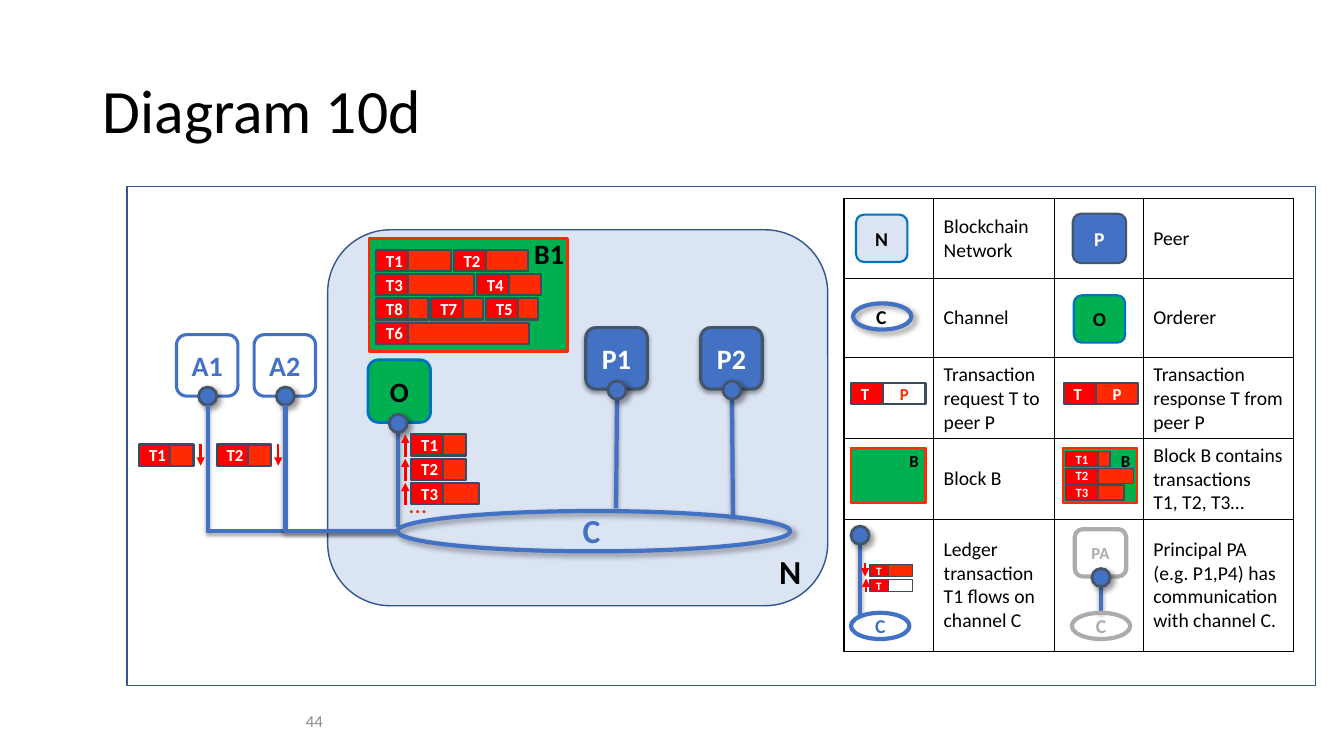
from pptx import Presentation
from pptx.dml.color import RGBColor
from pptx.enum.shapes import MSO_CONNECTOR as CONN, MSO_SHAPE as SHAPE
from pptx.enum.text import MSO_ANCHOR as ANCHOR, PP_ALIGN as ALIGN
from pptx.oxml import parse_xml
from pptx.oxml.ns import nsdecls, qn
from pptx.util import Inches, Pt

BLACK = RGBColor(0x00, 0x00, 0x00)
WHITE = RGBColor(0xFF, 0xFF, 0xFF)
GRAY = RGBColor(0x8C, 0x8C, 0x8C)
SILVER = RGBColor(0xAF, 0xAB, 0xAB)
NAVY = RGBColor(0x32, 0x54, 0x91)
SLATE = RGBColor(0x44, 0x54, 0x6A)
EDGE = RGBColor(0x3D, 0x4B, 0x5F)
BLUE = RGBColor(0x43, 0x72, 0xC4)
SKY = RGBColor(0x00, 0x70, 0xC0)
PALE = RGBColor(0xDB, 0xE4, 0xF3)
GREEN = RGBColor(0x00, 0xB0, 0x50)
RED = RGBColor(0xFF, 0x00, 0x00)
SCARLET = RGBColor(0xFF, 0x2A, 0x00)

# Shadows: opacity %, blur pt, distance pt, direction in degrees
SOFT = (40, 4, 3, 45)
DROP = (38, 3.1, 1.6, 90)
PEER = (35, 3.1, 1.8, 90)


class Diagram:
    font = "Calibri"

    def __init__(self, slide):
        self.shapes = slide.shapes

    def add_text(self, tf, text, size, color, bold=True, align=ALIGN.LEFT):
        p = tf.paragraphs[0]
        p.alignment = align
        for i, part in enumerate(text.split("\n")):
            if i:
                p.add_line_break()
            r = p.add_run()
            r.text = part
            r.font.name, r.font.size, r.font.bold = self.font, Pt(size), bold
            r.font.color.rgb = color
        return p

    def effects(self, sp, shadow):
        spPr = sp._element.spPr
        lst = spPr.find(qn("a:effectLst"))
        if lst is None:
            lst = parse_xml(f"<a:effectLst {nsdecls('a')}/>")
            spPr.append(lst)
        if shadow:
            alpha, blur, dist, angle = shadow
            lst.append(parse_xml(
                f'<a:outerShdw {nsdecls("a")} blurRad="{Pt(blur)}" dist="{Pt(dist)}"'
                f' dir="{angle * 60000}" algn="ctr" rotWithShape="0"><a:srgbClr val="000000">'
                f'<a:alpha val="{alpha * 1000}"/></a:srgbClr></a:outerShdw>'))

    def label(self, x, y, w, h, text, size, color=BLACK, bold=True,
              align=ALIGN.LEFT, anchor=ANCHOR.TOP, wrap=False):
        tf = self.shapes.add_textbox(Inches(x), Inches(y), Inches(w), Inches(h)).text_frame
        tf.word_wrap, tf.vertical_anchor = wrap, anchor
        return self.add_text(tf, text, size, color, bold, align)

    def shape(self, kind, x, y, w, h, fill, line, width, text="", size=14,
              color=BLACK, align=ALIGN.CENTER, shadow=None, left=0.1, pad=0.05):
        sp = self.shapes.add_shape(kind, Inches(x), Inches(y), Inches(w), Inches(h))
        sp.shadow.inherit = False
        if fill is None:
            sp.fill.background()
        else:
            sp.fill.solid()
            sp.fill.fore_color.rgb = fill
        sp.line.color.rgb, sp.line.width = line, Pt(width)
        self.effects(sp, shadow)
        if text:
            tf = sp.text_frame
            tf.word_wrap, tf.vertical_anchor = True, ANCHOR.MIDDLE
            tf.margin_left, tf.margin_right = Inches(left), Inches(0.1)
            tf.margin_top = tf.margin_bottom = Inches(pad)
            self.add_text(tf, text, size, color, True, align)

    def node(self, x, y, size, text, fill, line, color, width=2.25, shadow=None):
        self.shape(SHAPE.ROUNDED_RECTANGLE, x, y, size, size, fill, line, width,
                   text, 20, color, shadow=shadow, pad=0.04)

    def icon(self, x, y, text, fill, line, color=BLACK, width=1.5, size=14, w=0.51, h=0.47):
        self.shape(SHAPE.ROUNDED_RECTANGLE, x, y, w, h, fill, line, width, text, size, color)

    def dot(self, x, y):
        self.shape(SHAPE.OVAL, x, y, 0.18, 0.18, BLUE, SLATE, 2, shadow=SOFT)

    def channel(self, x, y, w=0.58, h=0.26, color=BLUE, text="", shadow=None):
        self.shape(SHAPE.OVAL, x, y, w, h, None, color, 3, text, 14, color, shadow=shadow)

    def block(self, x, y, w, h, width=1.5):
        self.shape(SHAPE.RECTANGLE, x, y, w, h, GREEN, SCARLET, width)

    def transaction(self, x, y, text, body, body_fill=SCARLET, body_text="", body_color=WHITE,
                    head=0.4, step=0.32, h=0.21, size=12, width=1.5, left=0.1):
        self.shape(SHAPE.RECTANGLE, x, y, head, h, RED, EDGE, width, text, size, WHITE,
                   ALIGN.LEFT, left=left)
        self.shape(SHAPE.RECTANGLE, x + step, y, body, h, body_fill, EDGE, width,
                   body_text, size, body_color)

    def line(self, x1, y1, x2, y2, color=BLUE, width=3, shadow=DROP, kind=CONN.STRAIGHT):
        cx = self.shapes.add_connector(kind, Inches(x1), Inches(y1), Inches(x2), Inches(y2))
        cx.line.color.rgb, cx.line.width = color, Pt(width)
        self.effects(cx, shadow)
        return cx

    def elbow(self, x1, y1, x2, y2):
        """Goes down, then right: a one-bend connector turned by 270 degrees."""
        mx, my, dx, dy = (x1 + x2) / 2, (y1 + y2) / 2, (x2 - x1) / 2, (y2 - y1) / 2
        cx = self.line(mx + dy, my - dx, mx - dy, my + dx, kind=CONN.ELBOW)
        spPr = cx._element.spPr
        spPr.find(qn("a:prstGeom")).set("prst", "bentConnector2")
        spPr.find(qn("a:xfrm")).set("rot", str(270 * 60000))

    def arrow(self, x, y1, y2, width=1.75):
        cx = self.line(x, y1, x, y2, RED, width, None)
        ln = cx._element.spPr.find(qn("a:ln"))
        ln.append(parse_xml(f'<a:tailEnd {nsdecls("a")} type="triangle"/>'))

    def table(self, x, y, widths, heights, rows):
        tbl = self.shapes.add_table(len(rows), len(widths), Inches(x), Inches(y),
                                    Inches(sum(widths)), Inches(sum(heights))).table
        tbl.first_row = tbl.horz_banding = False
        for col, w in zip(tbl.columns, widths):
            col.width = Inches(w)
        for row, h, texts in zip(tbl.rows, heights, rows):
            row.height = Inches(h)
            for cell, text in zip(row.cells, texts):
                cell.fill.background()
                cell.vertical_anchor = ANCHOR.MIDDLE
                if text == "C":
                    cell.margin_left = Inches(0.32)
                if text:
                    self.add_text(cell.text_frame, text, 14, BLACK, text == "C")
                tcPr = cell._tc.get_or_add_tcPr()
                for i, side in enumerate("LRTB"):
                    tcPr.insert(i, parse_xml(
                        f'<a:ln{side} {nsdecls("a")} w="{Pt(1)}"><a:solidFill>'
                        f'<a:srgbClr val="{BLACK}"/></a:solidFill></a:ln{side}>'))


def main():
    prs = Presentation()
    prs.slide_width, prs.slide_height = Inches(13.33), Inches(7.5)
    d = Diagram(prs.slides.add_slide(prs.slide_layouts[6]))

    # Network, title, page number
    d.shape(SHAPE.ROUNDED_RECTANGLE, 3.25, 2.28, 4.96, 3.73, PALE, NAVY, 1)
    p = d.label(0.92, 0.4, 11.5, 1.45, "Diagram 10d", 44, bold=False, anchor=ANCHOR.MIDDLE, wrap=True)
    p.line_spacing = 0.9
    d.label(0.3, 6.95, 3, 0.4, "44", 12, GRAY, False, ALIGN.RIGHT, ANCHOR.MIDDLE, True)

    # Legend table
    d.table(8.37, 1.97, [0.89, 1.2, 0.88, 1.49], [0.79] * 4 + [1.31], [
        ("", "Blockchain Network", "", "Peer"),
        ("C", "Channel", "", "Orderer"),
        ("", "Transaction request T to peer P", "", "Transaction response T from peer P"),
        ("", "Block B", "", "Block B contains transactions\nT1, T2, T3…"),
        ("", "Ledger transaction T1 flows on channel C", "",
         "Principal PA (e.g. P1,P4) has communication with channel C."),
    ])

    # Legend: network, peer, channel, orderer
    d.icon(8.49, 2.13, "N", PALE, SKY)
    d.icon(10.64, 2.12, "P", BLUE, SLATE, WHITE, w=0.53, h=0.49)
    d.channel(8.46, 3.01, shadow=SOFT)
    d.icon(10.65, 2.93, "O", GREEN, SKY)

    # Legend: request, response, blocks
    d.transaction(8.44, 3.8, "T", 0.42, WHITE, "P", SCARLET)
    d.transaction(10.55, 3.8, "T", 0.42, SCARLET, "P")
    for x in (8.44, 10.54):
        d.block(x, 4.44, 0.74, 0.55)
        d.label(x + 0.48, 4.42, 0.3, 0.22, "B", 12)
    for i, body in enumerate((0.12, 0.35, 0.26)):
        d.transaction(10.57, 4.48 + i * 0.165, f"T{i + 1}", body, h=0.15, size=9, width=1)

    # Legend: ledger flow
    d.line(8.53, 5.39, 8.53, 6.11)
    d.dot(8.44, 5.22)
    d.channel(8.44, 6.08, text="C")
    for y, fill in ((5.6, SCARLET), (5.75, WHITE)):
        d.transaction(8.63, y, "T", 0.24, fill, head=0.18, step=0.18, h=0.12,
                      size=8, width=1, left=0.06)
    d.arrow(8.59, 5.87, 5.74, 1.25)
    d.arrow(8.58, 5.59, 5.72, 1.25)

    # Legend: principal on a channel
    d.icon(10.66, 5.25, "PA", None, SILVER, SILVER, 3, 12)
    d.line(10.92, 5.81, 10.92, 6.08)
    d.dot(10.83, 5.64)
    d.channel(10.63, 6.08, color=SILVER, text="C")

    # Frame
    d.shape(SHAPE.RECTANGLE, 1.26, 1.85, 11.79, 4.95, None, NAVY, 1)

    # Applications and their requests
    for i in range(2):
        x = 1.75 + i * 0.77
        d.node(x, 3.32, 0.61, f"A{i + 1}", None, BLUE, BLUE)
        d.dot(x + 0.22, 3.84)
        d.elbow(x + 0.31, 4.02, 3.94, 5.27)
        d.arrow(x + 0.24, 4.4, 4.62)
        d.transaction(x - 0.37, 4.41, f"T{i + 1}", 0.23, step=0.31)

    # Orderer and its incoming transactions
    d.line(3.95, 4.25, 3.95, 5.23)
    d.node(3.65, 3.57, 0.62, "O", GREEN, SKY, BLACK, 2)
    d.dot(3.86, 4.11)
    for i, body in enumerate((0.23, 0.23, 0.36)):
        y = 4.31 + i * 0.24
        d.arrow(4.02, y + 0.22, y)
        d.transaction(4.08, y, f"T{i + 1}", body, step=0.31)
    d.label(3.96, 4.8, 0.38, 0.4, "…", 18, SCARLET, False)

    # Peers and channel
    for i, (x_end, y_end) in enumerate(((6.11, 5.04), (7.27, 5.13))):
        x = 5.81 + i * 1.14
        d.line(x + 0.31, 3.96, x_end, y_end)
        d.node(x, 3.25, 0.61, f"P{i + 1}", BLUE, SLATE, WHITE, shadow=PEER)
        d.dot(x + 0.22, 3.78)
    d.channel(3.94, 5.07, 3.9, 0.4, shadow=SOFT)
    d.label(5.68, 5.01, 0.38, 0.5, "C", 24, BLUE)
    d.label(7.63, 5.42, 0.58, 0.5, "N", 24, wrap=True)

    # Block B1: each row lists name, left edge, body width
    d.block(3.66, 2.37, 1.97, 1.12, 2)
    b1_rows = (
        (("T1", 3.73, 0.42), ("T2", 4.5, 0.42)),
        (("T3", 3.73, 0.65), ("T4", 4.73, 0.32)),
        (("T8", 3.73, 0.2), ("T7", 4.27, 0.2), ("T5", 4.82, 0.2)),
        (("T6", 3.73, 1.2),),
    )
    for i, row in enumerate(b1_rows):
        for name, x, body in row:
            d.transaction(x, 2.48 + i * 0.24, name, body)
    d.label(5.2, 2.3, 0.5, 0.44, "B1", 20)

    prs.save("out.pptx")


if __name__ == "__main__":
    main()
